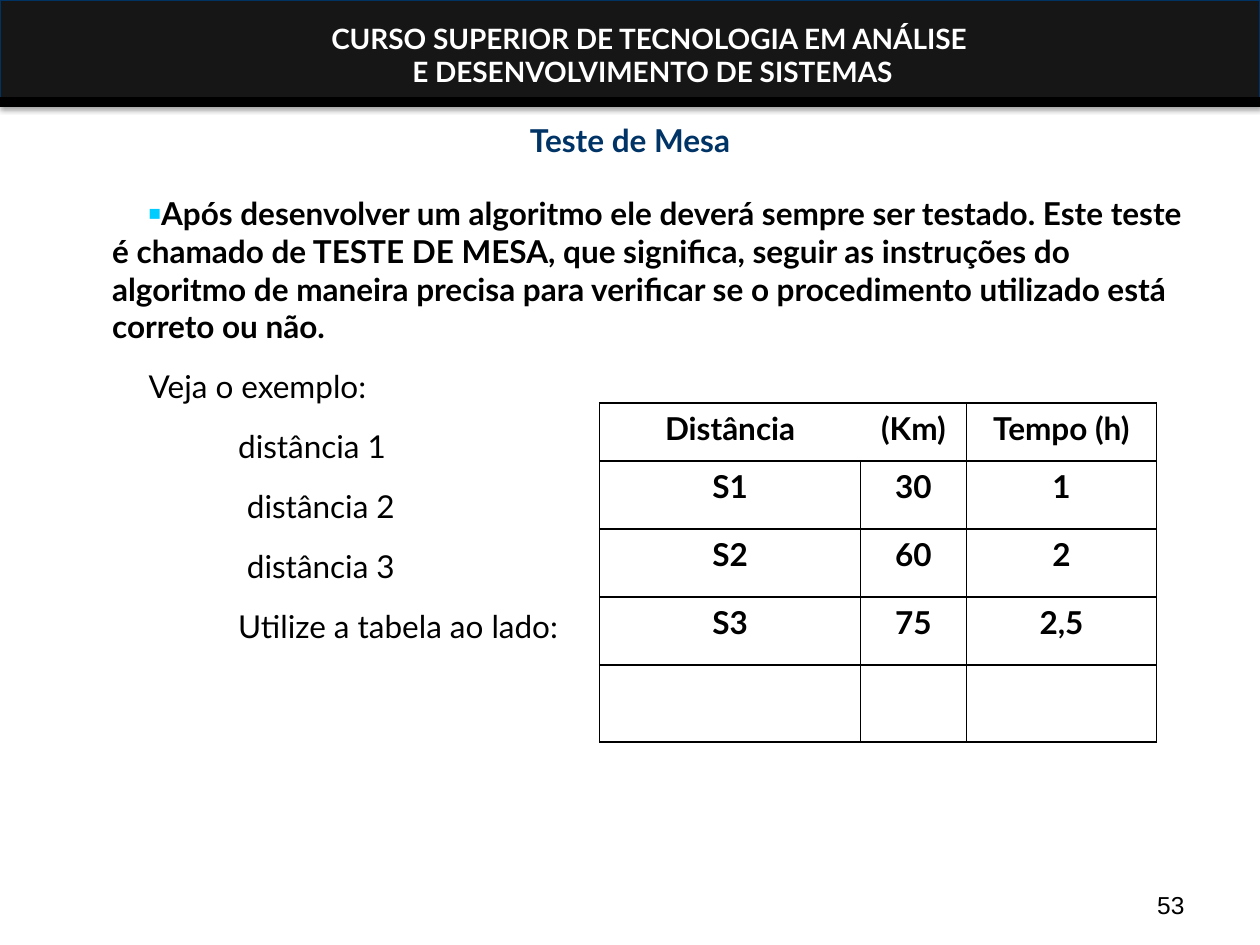
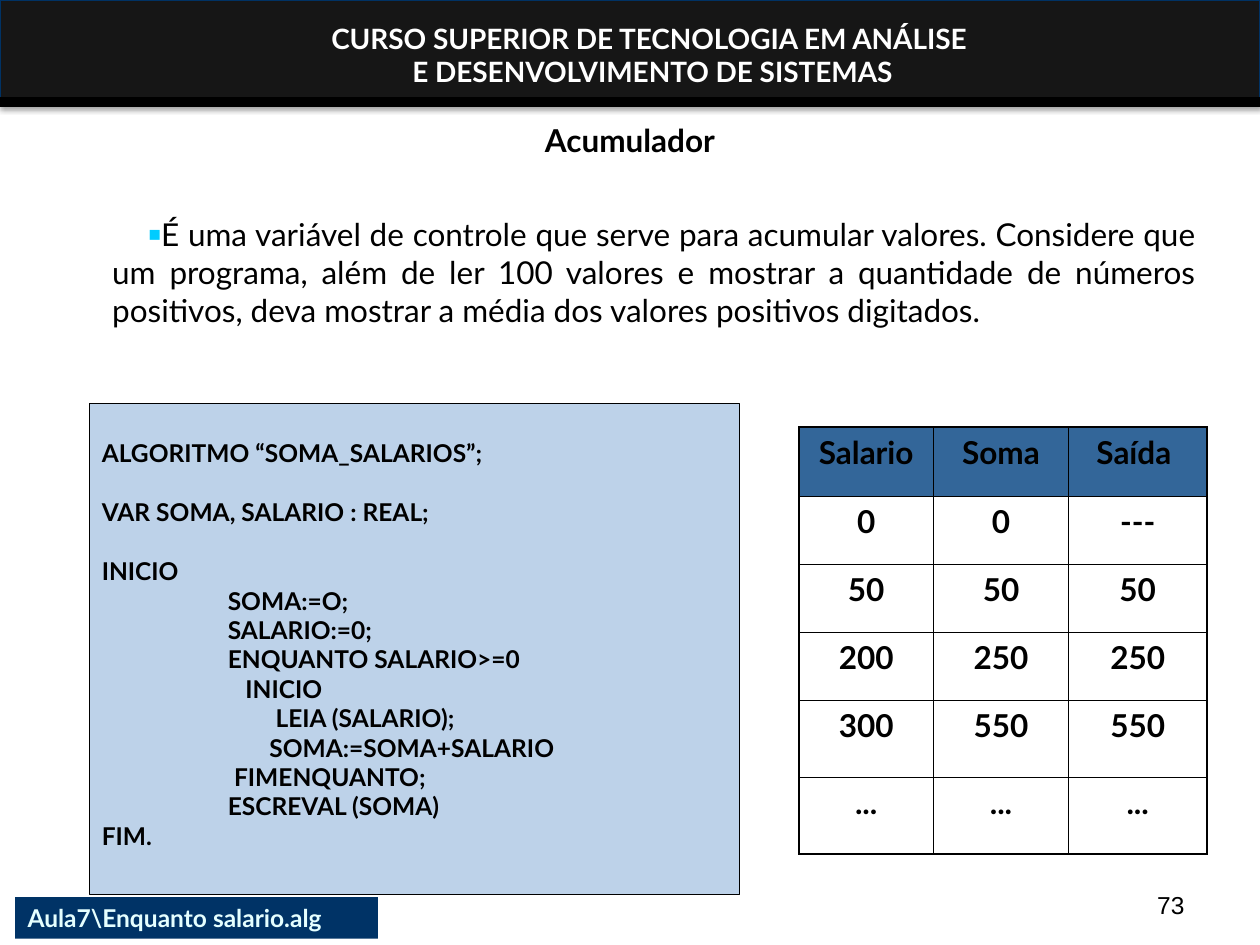
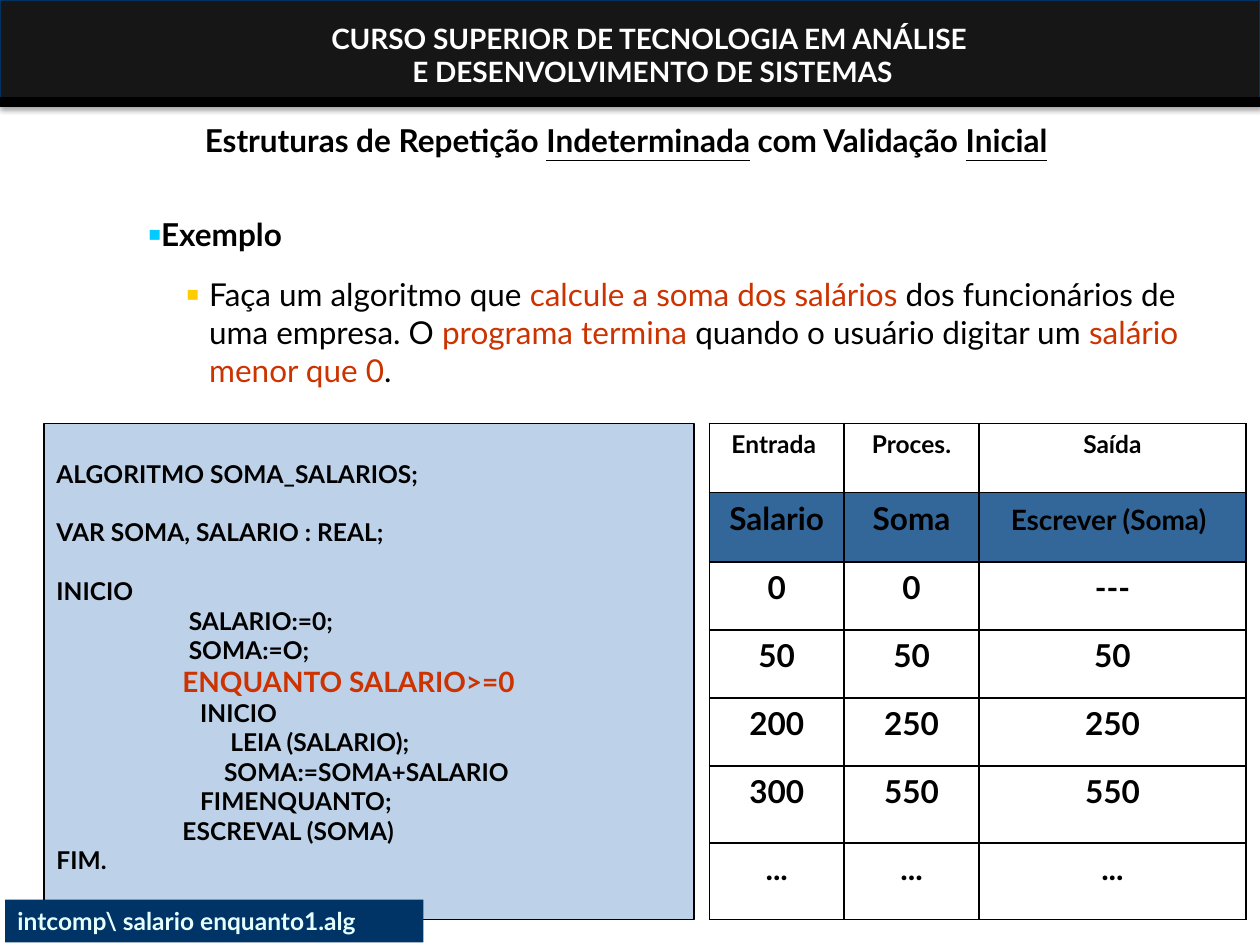
from dataclasses import dataclass

from lxml.etree import SubElement
from pptx import Presentation
from pptx.dml.color import RGBColor
from pptx.enum.shapes import MSO_CONNECTOR as Connector, MSO_SHAPE as Preset
from pptx.enum.text import MSO_ANCHOR as Anchor, MSO_AUTO_SIZE as AutoSize, PP_ALIGN as Align
from pptx.oxml.ns import qn
from pptx.util import Emu, Inches, Pt


@dataclass(frozen=True)
class Theme:
    text_font: str = "Lato"
    number_font: str = "Arial"
    body: int = 18
    band_text: int = 16
    code: int = 14
    black: str = "000000"
    white: str = "FFFFFF"
    navy: str = "003366"
    band: str = "161616"
    band_edge: str = "003264"
    panel: str = "BDD2E9"
    table_head: str = "336699"
    tag_text: str = "E5FFFF"
    accent: str = "CC3300"
    bullet: str = "00CCFF"
    sub_bullet: str = "FFCC00"


THEME = Theme()

# Grid: 100 columns by 75 rows over the whole slide
WIDTH, HEIGHT = Inches(10), Inches(7.5)
COLUMN, ROW = WIDTH / 100, HEIGHT / 75
TITLE_BOX = (0, 9.1, 100, 4)
BODY_BOX = (5.9, 13.1, 90, 45)
NUMBER_BOX = (71.7, 68.3, 23.3, 5.2)

# Table rows and statements that two slides share
SALARY_ROWS = [
    ("0", "0", "---"), ("50", "50", "50"), ("200", "250", "250"),
    ("300", "550", "550"), ("...", "...", "..."),
]
SALARY_HEIGHTS = [5.4, 5.4, 5.4, 6.1, 6.1]
LOOP_BODY = [(11.4, "INICIO"), (13.8, "LEIA (SALARIO);"), (13.3, "SOMA:=SOMA+SALARIO")]


# ---- Basics ----
def columns(count):
    return Emu(round(count * COLUMN))


def rows(count):
    return Emu(round(count * ROW))


def grid(left, top, width, height):
    return columns(left), rows(top), columns(width), rows(height)


def rgb(value):
    return RGBColor.from_string(value)


def style(run, size=THEME.body, color=THEME.black, bold=False, underline=None,
          font=THEME.text_font):
    run.font.name, run.font.size = font, Pt(size)
    run.font.bold, run.font.underline = bold, underline
    run.font.color.rgb = rgb(color)


def write(paragraph, content, align=Align.LEFT, **look):
    """Content is a string, or a list of (string, changes to the look)."""
    paragraph.alignment = align
    pieces = [(content, {})] if isinstance(content, str) else content
    for words, changes in pieces:
        run = paragraph.add_run()
        run.text = words
        style(run, **{**look, **changes})


def paragraphs(frame, count):
    return [frame.paragraphs[0]] + [frame.add_paragraph() for _ in range(count - 1)]


def prepare(frame, anchor=Anchor.TOP):
    frame.word_wrap, frame.auto_size = True, AutoSize.NONE
    frame.vertical_anchor = anchor
    return frame


def indent(paragraph, left, first=0):
    settings = paragraph._p.get_or_add_pPr()
    settings.set("marL", str(columns(left)))
    settings.set("indent", str(columns(first)))
    return settings


def move(placeholder, box):
    placeholder.left, placeholder.top, placeholder.width, placeholder.height = grid(*box)


def add_rectangle(slide, box, fill, edge=None):
    rectangle = slide.shapes.add_shape(Preset.RECTANGLE, *grid(*box))
    rectangle.shadow.inherit = False
    rectangle.fill.solid()
    rectangle.fill.fore_color.rgb = rgb(fill)
    if edge:
        rectangle.line.color.rgb, rectangle.line.width = rgb(edge), Pt(0.75)
    else:
        rectangle.line.fill.background()
    return rectangle


# ---- Shared band on the master ----
def add_band(master, slide):
    band = add_rectangle(slide, (0, 0, 100, 8.4), THEME.band, THEME.band_edge)
    effects = band.element.spPr.find(qn("a:effectLst"))
    shadow = SubElement(effects, qn("a:outerShdw"), blurRad=str(Pt(3.1)),
                        dist=str(Pt(1.8)), dir="5400000", rotWithShape="0")
    shade = SubElement(shadow, qn("a:srgbClr"), val=THEME.black)
    SubElement(shade, qn("a:alpha"), val="35000")

    course = slide.shapes.add_textbox(*grid(13, 1.2, 77.6, 6.4))
    names = ["CURSO SUPERIOR DE TECNOLOGIA EM ANÁLISE ", "E DESENVOLVIMENTO DE SISTEMAS"]
    for paragraph, name in zip(paragraphs(prepare(course.text_frame), 2), names):
        write(paragraph, name, Align.CENTER, size=THEME.band_text, color=THEME.white, bold=True)

    rule = slide.shapes.add_connector(Connector.STRAIGHT, 0, rows(8.1), WIDTH, rows(8.1))
    rule.line.color.rgb, rule.line.width = rgb(THEME.black), Pt(6)
    SubElement(rule.element.spPr, qn("a:effectLst"))

    for number, part in enumerate((band, course, rule), start=101):
        part.element.xpath(".//p:cNvPr")[0].set("id", str(number))
        master.shapes.element.append(part.element)


# ---- Kinds of element ----
def add_page(deck, title, title_color=THEME.black):
    slide = deck.slides.add_slide(deck.slide_layouts[1])
    move(slide.shapes.title, TITLE_BOX)
    heading = prepare(slide.shapes.title.text_frame)
    write(heading.paragraphs[0], title, Align.CENTER, color=title_color, bold=True)
    return slide


def add_page_number(slide, number):
    page = slide.shapes.add_textbox(*grid(*NUMBER_BOX))
    frame = prepare(page.text_frame, Anchor.BOTTOM)
    write(frame.paragraphs[0], number, Align.RIGHT, size=14, font=THEME.number_font)


def add_body(slide, items, top):
    """Items are (content, left, first, bullet colour or None, look)."""
    body = slide.placeholders[1]
    move(body, BODY_BOX)
    frame = prepare(body.text_frame)
    frame.margin_top = rows(top)
    for order, (paragraph, item) in enumerate(zip(paragraphs(frame, len(items)), items)):
        content, left, first, bullet, look = item
        paragraph.level = 1 if bullet == THEME.sub_bullet else 0
        write(paragraph, content, **look)
        paragraph.space_before = Pt(0.2 * THEME.body if order else 0)
        paragraph.space_after = Pt(0.5 * THEME.body)
        settings = indent(paragraph, left, first)
        if bullet:
            SubElement(SubElement(settings, qn("a:buClr")), qn("a:srgbClr"), val=bullet)
            SubElement(settings, qn("a:buSzPct"), val="65000")
            SubElement(settings, qn("a:buFont"), typeface=THEME.number_font)
            SubElement(settings, qn("a:buChar"), char="■")
        else:
            SubElement(settings, qn("a:buNone"))


def salary_program(heading, starts, condition, loop_end):
    """Statements as (indent, content); the first three stand apart."""
    return [
        (0, heading), (0, "VAR SOMA, SALARIO : REAL;"), (0, "INICIO"),
        *starts, (10, condition), *LOOP_BODY, loop_end,
        (10, "ESCREVAL (SOMA)"), (0, "FIM."),
    ]


def add_code(slide, box, statements):
    panel = add_rectangle(slide, box, THEME.panel, THEME.black)
    frame = prepare(panel.text_frame)
    frame.margin_top = rows(2.8)
    for order, paragraph in enumerate(paragraphs(frame, len(statements))):
        left, content = statements[order]
        write(paragraph, content, size=THEME.code, bold=True)
        indent(paragraph, left)
        if order in (1, 2):
            paragraph.space_before = Pt(1.2 * THEME.code)


def add_file_tag(slide, box, name):
    tag = add_rectangle(slide, box, THEME.navy)
    write(prepare(tag.text_frame).paragraphs[0], name,
          size=THEME.code, color=THEME.tag_text, bold=True)


def set_borders(cell, hidden=""):
    settings = cell._tc.get_or_add_tcPr()
    for order, side in enumerate("LRTB"):
        edge = SubElement(settings, qn("a:ln" + side), w=str(Pt(1)))
        settings.insert(order, edge)
        if side == hidden:
            SubElement(edge, qn("a:noFill"))
        else:
            SubElement(SubElement(edge, qn("a:solidFill")), qn("a:srgbClr"), val=THEME.black)


def add_grid_table(slide, corner, widths, heights, values, head=None, sizes=None, hidden=None):
    """Sizes are keyed by row, hidden edges by (row, column)."""
    sizes, hidden = sizes or {}, hidden or {}
    box = grid(*corner, sum(widths), sum(heights))
    table = slide.shapes.add_table(len(heights), len(widths), *box).table
    table.first_row = table.horz_banding = False
    for column, width in zip(table.columns, widths):
        column.width = columns(width)
    for row, height in zip(table.rows, heights):
        row.height = rows(height)
    for r, line in enumerate(values):
        for c, value in enumerate(line):
            cell = table.cell(r, c)
            if r == head:
                cell.fill.solid()
                cell.fill.fore_color.rgb = rgb(THEME.table_head)
            else:
                cell.fill.background()
            set_borders(cell, hidden.get((r, c), ""))
            if value:
                write(cell.text_frame.paragraphs[0], value, Align.CENTER,
                      size=sizes.get(r, THEME.body), bold=True)


# ---- Slides ----
def build_desk_test(deck):
    slide = add_page(deck, "Teste de Mesa", THEME.navy)
    add_band(deck.slide_master, slide)
    add_page_number(slide, "53")
    add_body(slide, [
        ("Após desenvolver um algoritmo ele deverá sempre ser testado. Este teste é chamado "
         "de TESTE DE MESA, que significa, seguir as instruções do algoritmo de maneira "
         "precisa para verificar se o procedimento utilizado está correto ou não.",
         2, 2.9, THEME.bullet, {"bold": True}),
        ("Veja o exemplo:", 2, 2.9, None, {}),
        ("distância 1", 12, 0, None, {}),
        ("distância 2", 12.7, 0, None, {}),
        ("distância 3", 12.7, 0, None, {}),
        ("Utilize a tabela ao lado:", 12, 0, None, {}),
    ], top=2.3)
    add_grid_table(
        slide, (47.6, 32), [20.7, 8.4, 15.1], [4.6, 5.4, 5.4, 5.4, 6.1],
        [("Distância", "(Km)", "Tempo (h)"), ("S1", "30", "1"), ("S2", "60", "2"),
         ("S3", "75", "2,5"), ("", "", "")],
        hidden={(0, 0): "R", (0, 1): "L"})


def build_accumulator(deck):
    slide = add_page(deck, "Acumulador")
    add_page_number(slide, "73")
    add_body(slide, [
        ("É uma variável de controle que serve para acumular valores. Considere que um "
         "programa, além de ler 100 valores e mostrar a quantidade de números positivos, "
         "deva mostrar a média dos valores positivos digitados.",
         2, 2.9, THEME.bullet, {"align": Align.JUSTIFY}),
    ], top=4)
    add_code(slide, (7.1, 32, 51.6, 39), salary_program(
        "ALGORITMO “SOMA_SALARIOS”;", [(10, "SOMA:=O;"), (10, "SALARIO:=0;")],
        "ENQUANTO SALARIO>=0", (10.5, "FIMENQUANTO;")))
    add_grid_table(
        slide, (63.4, 33.9), [10.7, 10.7, 11], [5.5, *SALARY_HEIGHTS],
        [("Salario", "Soma", "Saída "), *SALARY_ROWS], head=0)
    add_file_tag(slide, (1.2, 71.2, 28.8, 3.3), "Aula7\\Enquanto salario.alg")


def build_repetition(deck):
    # The table fills the page number's corner, so this slide has no number
    underlined, accent = {"underline": True}, {"color": THEME.accent}
    slide = add_page(deck, [
        ("Estruturas de Repetição ", {}), ("Indeterminada", underlined),
        (" com Validação ", {}), ("Inicial", underlined), (" ", {}),
    ])
    task = [
        ("Faça um algoritmo que ", {}), ("calcule a soma dos salários", accent),
        (" dos funcionários de uma empresa. O ", {}), ("programa termina", accent),
        (" quando o usuário digitar um ", {}), ("salário menor que 0", accent), (". ", {}),
    ]
    add_body(slide, [
        ("Exemplo ", 2, 2.9, THEME.bullet, {"bold": True}),
        (task, 9.7, -1.8, THEME.sub_bullet, {}),
    ], top=4)
    add_code(slide, (3.5, 33.6, 51.6, 39.4), salary_program(
        "ALGORITMO SOMA_SALARIOS;", [(10.5, "SALARIO:=0;"), (10.5, "SOMA:=O;")],
        [("ENQUANTO SALARIO>=0", {"size": 16, **accent})], (11.4, "FIMENQUANTO;")))
    output_head = [("Escrever (Soma)", {"size": 16}), (" ", {})]
    add_grid_table(
        slide, (56.3, 33.6), [10.7, 10.7, 21.2], [5.5, 5.5, *SALARY_HEIGHTS],
        [("Entrada ", "Proces.", "Saída"), ("Salario", "Soma", output_head), *SALARY_ROWS],
        head=1, sizes={0: 14})
    add_file_tag(slide, (0.4, 71.4, 33.2, 3.4), "intcomp\\ salario enquanto1.alg")


def main():
    deck = Presentation()
    deck.slide_width, deck.slide_height = WIDTH, HEIGHT
    for build in (build_desk_test, build_accumulator, build_repetition):
        build(deck)
    deck.save("out.pptx")


main()
